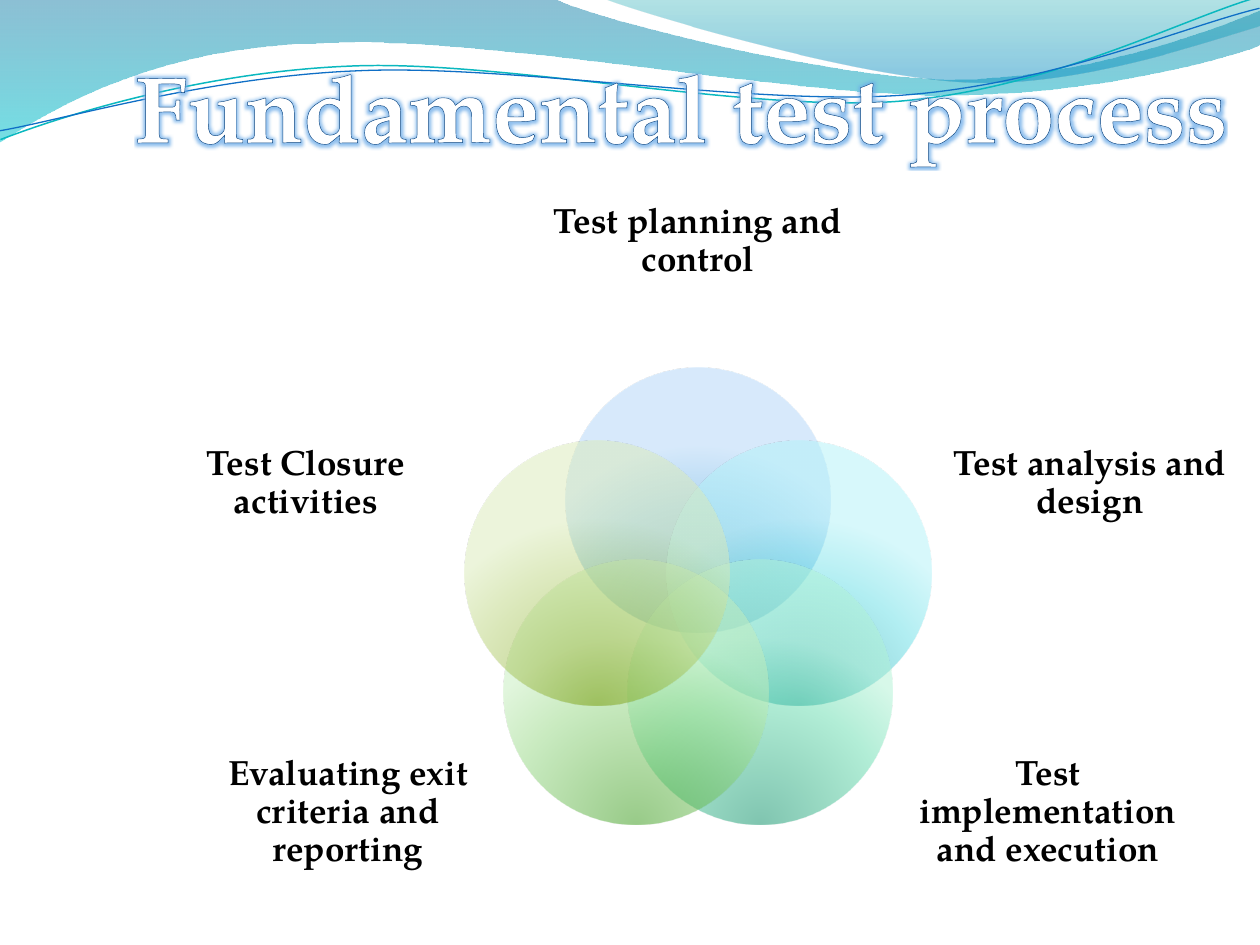
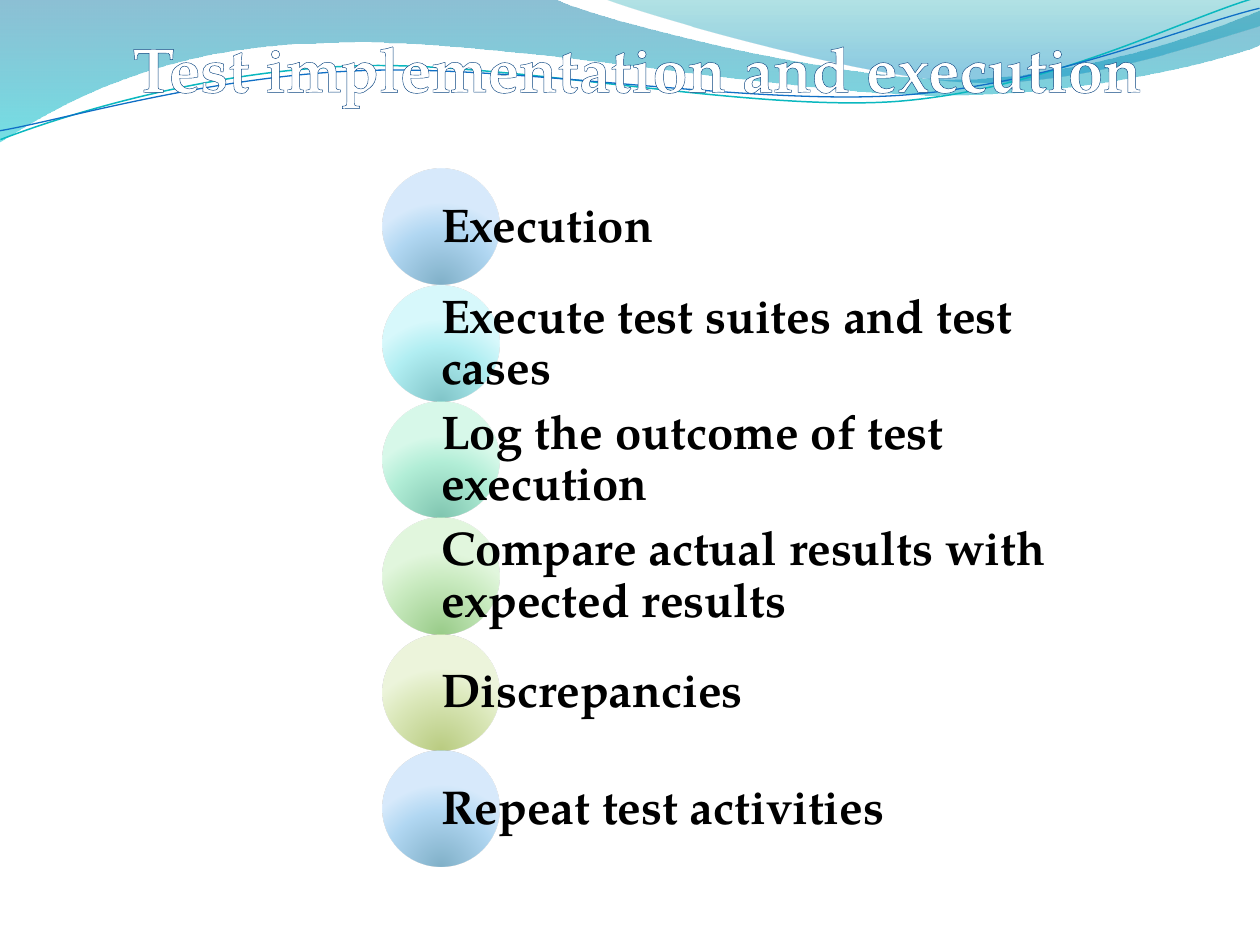
import math
from dataclasses import dataclass

from pptx import Presentation
from pptx import util as u
from pptx.dml.color import RGBColor
from pptx.enum import shapes, text
from pptx.oxml import parse_xml
from pptx.oxml.ns import nsdecls, qn

EMU_PER_PX = 914400 / 126
TITLE_ONLY = 5


@dataclass(frozen=True)
class Theme:
    font: str = "TeX Gyre Pagella"
    title: str = "FFFFFF"
    title_edge_dark: str = "0A4480"
    title_edge_light: str = "6A98F8"
    title_edge_pt: float = 2.48
    glow: str = "6AAAE8"
    body: str = "000000"
    cover_size: int = 54
    title_size: int = 36
    label_size: int = 20
    step_size: int = 27
    # Gradient stops: position %, colour, opacity %
    deep_wave: tuple = ((0, "0074A1", 45), (100, "00C6CF", 55))
    pale_wave: tuple = ((0, "00A1A9", 30), (80, "008BBF", 45))
    teal_line: str = "0AB8BF"
    blue_line: str = "0F6FC6"
    # Glass circles: edge, middle and core colours
    circles: tuple = (
        ("006091", "64B1E7", "B1D6F9"),
        ("008A91", "64DFE7", "B1F3F9"),
        ("008C60", "65DEB0", "B2F4D6"),
        ("319811", "95D882", "C6EFBD"),
        ("729800", "B8D275", "DBECB9"),
    )


THEME = Theme()
DOWNWARD = '<a:lin ang="5400000" scaled="1"/>'
RADIAL = ('<a:path path="circle"><a:fillToRect l="50000" t="130000" '
          'r="50000" b="-30000"/></a:path>')

# Each wave: start point, then segments of one point (line) or three (curve)
DEEP_WAVE = ((0, 0), [
    [(554, -1)],
    [(600, 21), (837, 79), (955, 79)],
    [(1075, 79), (1207, 33), (1260, 11)],
    [(1261, 45)],
    [(1239, 55), (1096, 96), (940, 95)],
    [(784, 95), (481, 35), (324, 43)],
    [(163, 45), (58, 105), (-1, 142)],
    [(0, 0)],
])
PALE_WAVE = ((604, -1), [
    [(641, 14), (859, 78), (969, 82)],
    [(1079, 87), (1211, 40), (1260, 26)],
    [(1260, 0)],
    [(604, -1)],
])
# The two lines are laid out level and then tilted
LINE_TILT = 357.3
TEAL_LINE = ((-2, 110), [
    [(58, 90), (199, 52), (350, 53)],
    [(499, 53), (745, 118), (896, 114)],
    [(1049, 109), (1184, 45), (1260, 27)],
])
BLUE_LINE = ((-2, 101), [
    [(57, 94), (207, 57), (357, 58)],
    [(509, 58), (750, 112), (902, 108)],
    [(1052, 104), (1188, 52), (1262, 38)],
])

VENN_CENTRE = (698, 606)
VENN_RADIUS = 106
VENN_DIAMETER = 265
# Label, offset of its middle from the venn's axis, middle y, width, height
PHASES = [
    ("Test planning and control", 0, 241, 307, 178),
    ("Test analysis and design", 392, 483, 276, 193),
    ("Test implementation and execution", 350, 812, 276, 193),
    ("Evaluating exit criteria and reporting", -350, 812, 276, 193),
    ("Test Closure activities", -392, 483, 276, 193),
]
STEPS = [
    "Execution",
    "Execute test suites and test cases",
    "Log the outcome of test execution",
    "Compare actual results with expected results",
    "Discrepancies",
    "Repeat test activities",
]


def px(length):
    return u.Emu(round(length * EMU_PER_PX))


def gradient_fill(shape, stops, direction):
    """Fill with (position, colour, opacity) stops."""
    marks = "".join(
        f'<a:gs pos="{at * 1000}"><a:srgbClr val="{colour}">'
        f'<a:alpha val="{opacity * 1000}"/></a:srgbClr></a:gs>'
        for at, colour, opacity in stops)
    gradient = parse_xml(f'<a:gradFill {nsdecls("a")} rotWithShape="1">'
                         f'<a:gsLst>{marks}</a:gsLst>{direction}</a:gradFill>')
    shape.fill.background()
    properties = shape.element.spPr
    properties.replace(properties.find(qn("a:noFill")), gradient)


def bend(shape, segments):
    """Join the straight strokes of each three-point segment into one curve."""
    strokes = iter(list(shape.element.iter(qn("a:lnTo"))))
    for segment in segments:
        parts = [next(strokes) for _ in segment]
        if len(parts) == 3:
            curve = parse_xml(f'<a:cubicBezTo {nsdecls("a")}/>')
            parts[0].addprevious(curve)
            for part in parts:
                curve.append(part[0])
                part.getparent().remove(part)


def add_wave(slide, outline, closed):
    start, segments = outline
    builder = slide.shapes.build_freeform(*start, scale=EMU_PER_PX)
    builder.add_line_segments(sum(segments, []), close=closed)
    wave = builder.convert_to_shape()
    bend(wave, segments)
    wave.shadow.inherit = False
    return wave


def add_wave_band(slide, outline, stops):
    band = add_wave(slide, outline, closed=True)
    gradient_fill(band, stops, DOWNWARD)
    band.line.fill.background()
    return band


def add_wave_line(slide, outline, colour, width):
    stroke = add_wave(slide, outline, closed=False)
    stroke.rotation = LINE_TILT
    stroke.fill.background()
    stroke.line.color.rgb = RGBColor.from_string(colour)
    stroke.line.width = u.Pt(width)
    return stroke


def decorate_master(master, slide):
    """Draw the waves on a slide, then move them to the master all slides use."""
    waves = [
        add_wave_band(slide, DEEP_WAVE, THEME.deep_wave),
        add_wave_band(slide, PALE_WAVE, THEME.pale_wave),
        add_wave_line(slide, TEAL_LINE, THEME.teal_line, 0.85),
        add_wave_line(slide, BLUE_LINE, THEME.blue_line, 0.75),
    ]
    for index, wave in enumerate(waves):
        wave.element.nvSpPr.cNvPr.set("id", str(100 + index))
        master.shapes.element.insert(2 + index, wave.element)


def style_run(run, size, colour):
    run.font.name = THEME.font
    run.font.size = u.Pt(size)
    run.font.bold = True
    run.font.color.rgb = RGBColor.from_string(colour)


def set_title(slide, wording, box, size, align, glowing=False):
    title = slide.shapes.title
    title.left, title.top, title.width, title.height = map(px, box)
    frame = title.text_frame
    frame.text = wording
    frame.word_wrap = False
    frame.auto_size = text.MSO_AUTO_SIZE.SHAPE_TO_FIT_TEXT
    frame.vertical_anchor = text.MSO_ANCHOR.TOP
    paragraph = frame.paragraphs[0]
    paragraph.alignment = align
    run = paragraph.runs[0]
    style_run(run, size, THEME.title)
    properties = run.font.fill._xPr
    properties.insert(0, parse_xml(
        f'<a:ln {nsdecls("a")} w="{u.Pt(THEME.title_edge_pt)}"><a:gradFill><a:gsLst>'
        f'<a:gs pos="25000"><a:srgbClr val="{THEME.title_edge_dark}"/></a:gs>'
        f'<a:gs pos="80000"><a:srgbClr val="{THEME.title_edge_light}"/></a:gs>'
        f'</a:gsLst>{DOWNWARD}</a:gradFill></a:ln>'))
    if glowing:
        properties.insert(2, parse_xml(
            f'<a:effectLst {nsdecls("a")}><a:glow rad="53000">'
            f'<a:srgbClr val="{THEME.glow}"><a:alpha val="75000"/></a:srgbClr>'
            '</a:glow></a:effectLst>'))


def add_circle(diagram, left, top, diameter, colours):
    circle = diagram.shapes.add_shape(shapes.MSO_SHAPE.OVAL, px(left), px(top),
                                      px(diameter), px(diameter))
    circle.shadow.inherit = False
    circle.line.fill.background()
    stops = [(at, colour, 50) for at, colour in zip((0, 68, 100), colours)]
    gradient_fill(circle, stops, RADIAL)


def add_label(diagram, wording, box, size, align, inset=0):
    frame = diagram.shapes.add_textbox(*map(px, box)).text_frame
    frame.word_wrap = True
    frame.vertical_anchor = text.MSO_ANCHOR.MIDDLE
    frame.margin_left = frame.margin_right = 0
    frame.margin_top = frame.margin_bottom = px(inset)
    frame.text = wording
    paragraph = frame.paragraphs[0]
    paragraph.alignment = align
    paragraph.line_spacing = 0.9
    style_run(paragraph.runs[0], size, THEME.body)


def add_phase_venn(slide):
    venn = slide.shapes.add_group_shape()
    centre_x, centre_y = VENN_CENTRE
    for index, (phase, offset, middle, width, height) in enumerate(PHASES):
        angle = math.tau * index / len(PHASES)
        left = centre_x + VENN_RADIUS * math.sin(angle) - VENN_DIAMETER / 2
        top = centre_y - VENN_RADIUS * math.cos(angle) - VENN_DIAMETER / 2
        add_circle(venn, left, top, VENN_DIAMETER, THEME.circles[index])
        box = (centre_x + offset - width / 2, middle - height / 2, width, height)
        add_label(venn, phase, box, THEME.label_size, text.PP_ALIGN.CENTER)


def add_step_list(slide, left=383, top=169, last_top=751, diameter=116, text_width=621):
    steps = slide.shapes.add_group_shape()
    pitch = (last_top - top) / (len(STEPS) - 1)
    for index, step in enumerate(STEPS):
        row_top = top + index * pitch
        colours = THEME.circles[index % len(THEME.circles)]
        add_circle(steps, left, row_top, diameter, colours)
        box = (left + diameter / 2, row_top, text_width, diameter)
        add_label(steps, step, box, THEME.step_size, text.PP_ALIGN.LEFT, inset=5)


def main():
    deck = Presentation()
    deck.slide_width, deck.slide_height = px(1260), px(945)
    layout = deck.slide_layouts[TITLE_ONLY]

    process = deck.slides.add_slide(layout)
    decorate_master(deck.slide_master, process)
    set_title(process, "Fundamental test process", (73, 42, 1217, 127),
              THEME.cover_size, text.PP_ALIGN.CENTER, glowing=True)
    add_phase_venn(process)

    execution = deck.slides.add_slide(layout)
    set_title(execution, "Test implementation and execution", (120, 23, 1121, 89),
              THEME.title_size, text.PP_ALIGN.LEFT)
    add_step_list(execution)

    deck.save("out.pptx")


if __name__ == "__main__":
    main()
